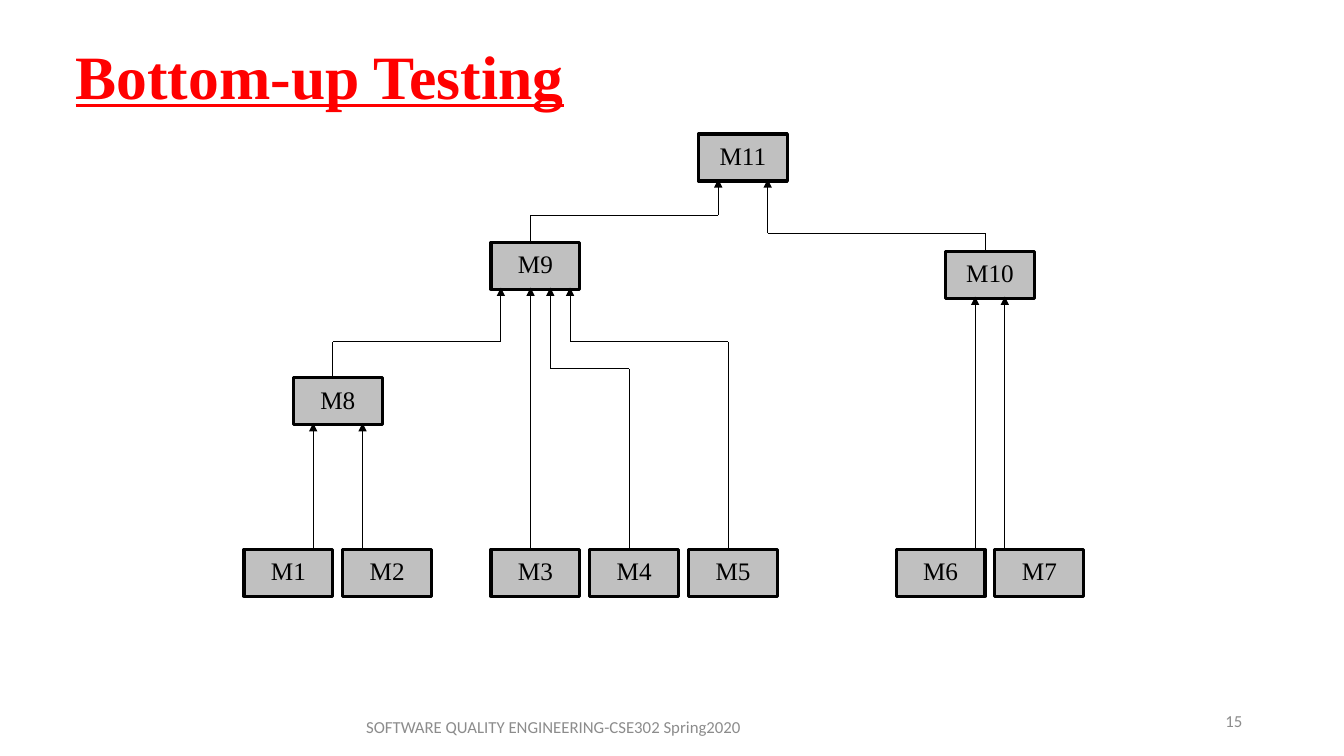
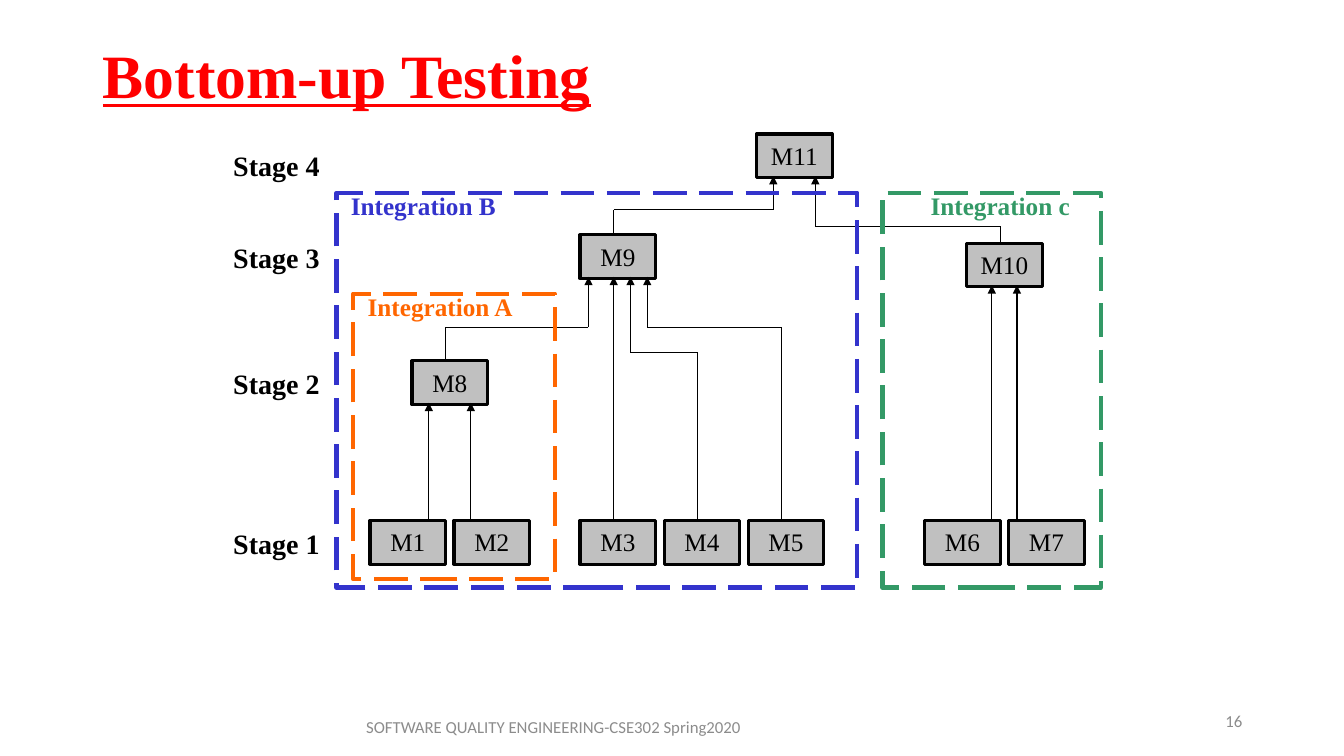
"""Builds two slides on bottom-up testing: the module tree, then its integration stages."""
from itertools import pairwise

from lxml import etree
from pptx import Presentation
from pptx.dml.color import RGBColor
from pptx.enum.dml import MSO_LINE
from pptx.enum.shapes import MSO_CONNECTOR, MSO_SHAPE
from pptx.enum.text import MSO_ANCHOR, MSO_AUTO_SIZE, PP_ALIGN
from pptx.oxml.ns import qn
from pptx.util import Inches, Pt

COLORS = {"title": "FF0000", "box": "C0C0C0", "ink": "000000", "footer": "8C8C8C",
          "orange": "FF6600", "blue": "3333CC", "green": "339966"}
SERIF, SANS = "Times New Roman", "Calibri"
TITLE = "Bottom-up Testing"
FOOTER = "SOFTWARE QUALITY ENGINEERING-CSE302 Spring2020"

BOX_W, BOX_H, ARROW_END = 9, 5.2, 5
MODULES = {
    "M9": (25, 12), "M8": (5, 27),
    "M1": (0, 46), "M2": (10, 46), "M3": (25, 46), "M4": (35, 46),
    "M5": (45, 46), "M6": (66, 46), "M7": (76, 46),
    "M10": (71, 13), "M11": (46, 0),
}
# child, parent, x at child, x at parent, y of the bend
ARROWS = [
    ("M1", "M8", 7, 7, None), ("M2", "M8", 12, 12, None),
    ("M8", "M9", 9, 26, 23), ("M3", "M9", 29, 29, None),
    ("M4", "M9", 39, 31, 26), ("M5", "M9", 49, 33, 23),
    ("M6", "M10", 74, 74, None), ("M7", "M10", 77, 77, None),
    ("M9", "M11", 29, 48, 9), ("M10", "M11", 75, 53, 11),
]
# text, colour, frame in grid units, indent of the label
FRAMES = [
    ("Integration A", "orange", (-2, 19, 24, 34), 1),
    ("Integration B", "blue", (-4, 7, 62, 47), 1),
    ("Integration c", "green", (61, 7, 26, 47), 5),
]
STAGE_X = -17
STAGES = [("Stage 4", 1), ("Stage 3", 12), ("Stage 2", 27), ("Stage 1", 46)]

SLIDES = [
    {"number": "15", "title_at": (0.65, 0.4, 11.77, 0.77), "anchor": MSO_ANCHOR.MIDDLE,
     "spacing": 0.9, "origin": (2.42, 1.33), "unit": (0.98 / 10, 4.12 / 46), "stages": False},
    {"number": "16", "title_at": (0.92, 0.31, 5.09, 0.84), "anchor": MSO_ANCHOR.TOP,
     "spacing": 1.0, "origin": (3.67, 1.33), "unit": (1 / 12, 1 / 12), "stages": True},
]


def rgb(name):
    return RGBColor.from_string(COLORS[name])


def write(shape, text, size=18, color="ink", font=SERIF, bold=False, underline=False,
          align=PP_ALIGN.LEFT, anchor=MSO_ANCHOR.TOP, inset=0.06, spacing=1.0):
    tf = shape.text_frame
    tf.word_wrap = True
    tf.auto_size = MSO_AUTO_SIZE.NONE
    tf.vertical_anchor = anchor
    tf.margin_left = tf.margin_right = Inches(inset)
    tf.margin_top = tf.margin_bottom = Inches(min(inset, 0.06))
    p = tf.paragraphs[0]
    p.alignment, p.line_spacing = align, spacing
    r = p.add_run()
    r.text = text
    r.font.name, r.font.size = font, Pt(size)
    r.font.bold, r.font.underline = bold, underline
    r.font.color.rgb = rgb(color)


def add_label(s, text, at, **fmt):
    write(s.shapes.add_textbox(*map(Inches, at)), text, **fmt)


def add_rect(s, at, line, width, fill=None, dash=None):
    sp = s.shapes.add_shape(MSO_SHAPE.RECTANGLE, *map(Inches, at))
    sp.shadow.inherit = False
    if fill:
        sp.fill.solid()
        sp.fill.fore_color.rgb = rgb(fill)
    else:
        sp.fill.background()
    sp.line.color.rgb = rgb(line)
    sp.line.width = Pt(width)
    if dash:
        sp.line.dash_style = dash
    return sp


def add_line(s, start, end, head):
    line = s.shapes.add_connector(MSO_CONNECTOR.STRAIGHT, *map(Inches, (*start, *end)))
    line.line.color.rgb = rgb("ink")
    line.line.width = Pt(0.75)
    if head:
        etree.SubElement(line.line._get_or_add_ln(), qn("a:tailEnd"), type="triangle")
    etree.SubElement(line._element.spPr, qn("a:effectLst"))


def add_tree(s, place, point):
    for name, (x, y) in MODULES.items():
        sp = add_rect(s, place(x, y, BOX_W, BOX_H), "ink", 2.25, fill="box")
        write(sp, name, align=PP_ALIGN.CENTER)
    for child, parent, x1, x2, bend in ARROWS:
        top, end = MODULES[child][1], MODULES[parent][1] + ARROW_END
        bends = [] if bend is None else [(x1, bend), (x2, bend)]
        legs = list(pairwise([(x1, top), *bends, (x2, end)]))
        for i, (a, b) in enumerate(legs, 1):
            add_line(s, point(*a), point(*b), head=i == len(legs))


def add_stages(s, place):
    for text, color, (x, y, w, h), indent in FRAMES:
        add_rect(s, place(x, y, w, h), color, 3, dash=MSO_LINE.LONG_DASH)
        add_label(s, text, place(x + indent, y - 1, 21, 4.8), color=color, bold=True)
    for text, y in STAGES:
        add_label(s, text, place(STAGE_X, y, 13, BOX_H), size=20, bold=True)


def add_slide(prs, data):
    s = prs.slides.add_slide(prs.slide_layouts[5])
    title = s.shapes.title
    title.left, title.top, title.width, title.height = map(Inches, data["title_at"])
    write(title, TITLE, size=44, color="title", bold=True, underline=True, inset=0.1,
          anchor=data["anchor"], spacing=data["spacing"])
    (x0, y0), (dx, dy) = data["origin"], data["unit"]

    def point(x, y):
        return x0 + x * dx, y0 + y * dy

    def place(x, y, w, h):
        return *point(x, y), w * dx, h * dy

    add_tree(s, place, point)
    if data["stages"]:
        add_stages(s, place)
    for text, at in ((data["number"], (9.42, 6.95, 3, 0.4)), (FOOTER, (2.95, 7.01, 4.5, 0.4))):
        add_label(s, text, at, size=12, color="footer", font=SANS, inset=0.1,
                  align=PP_ALIGN.RIGHT, anchor=MSO_ANCHOR.MIDDLE)


def main():
    prs = Presentation()
    prs.slide_width, prs.slide_height = Inches(13.33), Inches(7.5)
    for data in SLIDES:
        add_slide(prs, data)
    prs.save("out.pptx")


if __name__ == "__main__":
    main()
